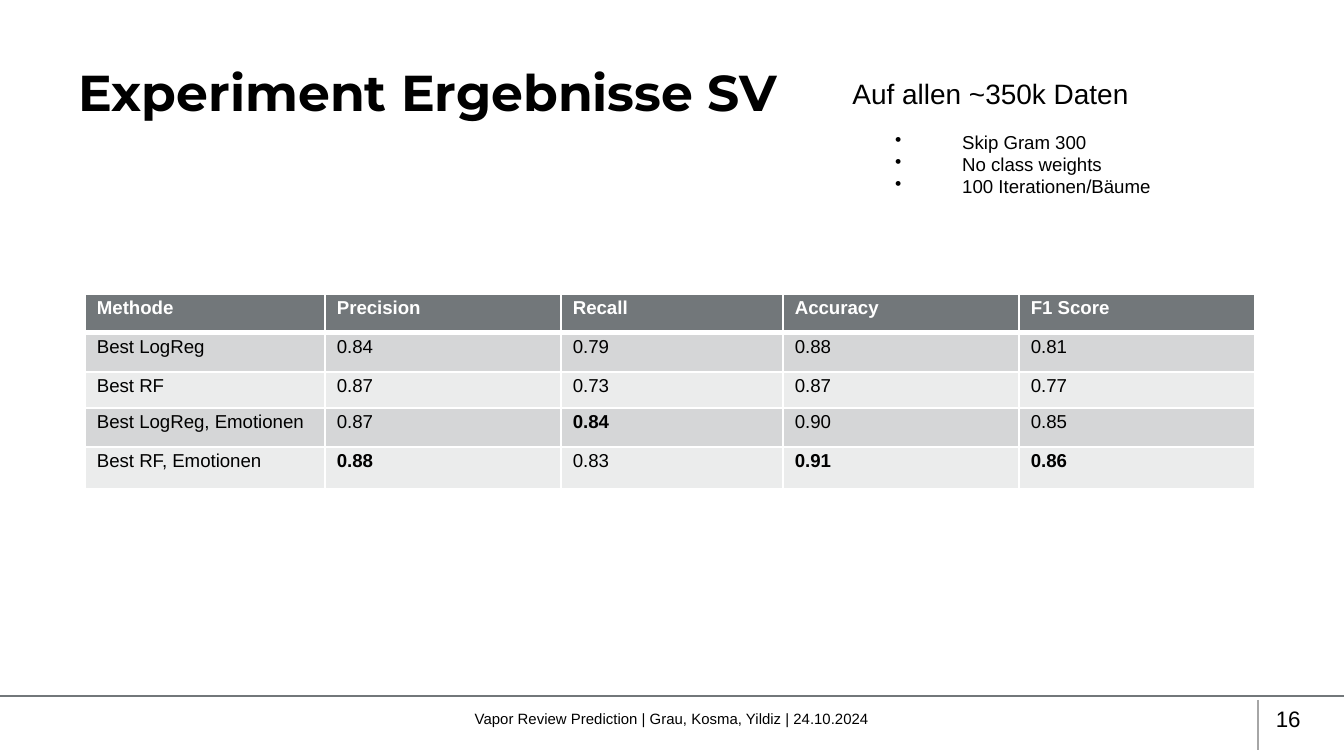
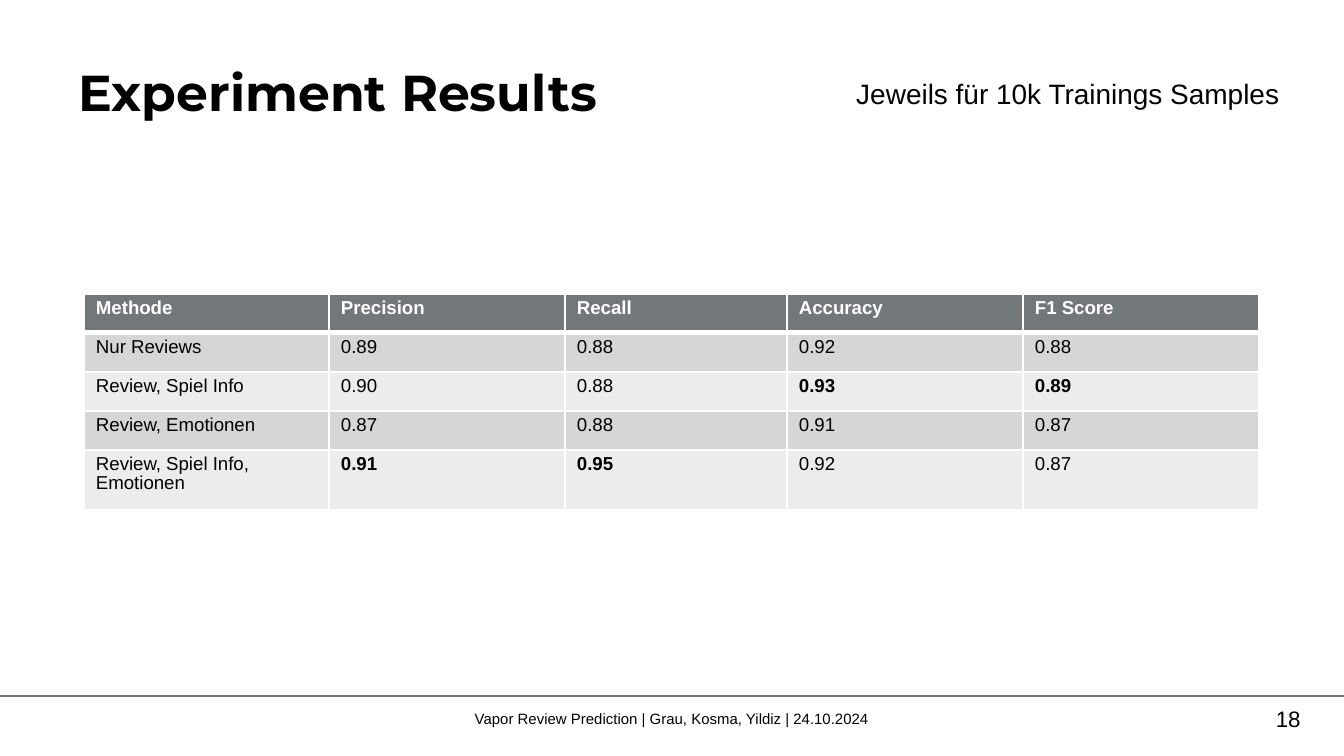
from collections import namedtuple

from lxml.etree import SubElement
from pptx import Presentation
from pptx.dml.color import RGBColor
from pptx.enum.shapes import MSO_CONNECTOR, MSO_SHAPE
from pptx.enum.text import MSO_ANCHOR, MSO_AUTO_SIZE, PP_ALIGN
from pptx.oxml.ns import qn
from pptx.util import Emu, Pt

PX_PER_INCH = 134.4
SLIDE_W, SLIDE_H = 1344, 756

BLACK = RGBColor(0x00, 0x00, 0x00)
WHITE = RGBColor(0xFF, 0xFF, 0xFF)
SLATE = RGBColor(0x72, 0x77, 0x7A)
RULE_GREY = RGBColor(0xA6, 0xA6, 0xA6)
BAND_DARK = RGBColor(0xD5, 0xD6, 0xD7)
BAND_LIGHT = RGBColor(0xEB, 0xEC, 0xEC)

TITLE_FONT, TEXT_FONT = "Montserrat", "Arial"
FOOTER = "Vapor Review Prediction | Grau, Kosma, Yildiz | 24.10.2024"
HEADINGS = ["Methode", "Precision", "Recall", "Accuracy", "F1 Score"]
METRIC_WIDTHS = [236, 222, 236, 236]

Box = namedtuple("Box", "left top width height")
HEADER_BOX = Box(0, 0, SLIDE_W, 187)
FOOTER_BOX = Box(0, 696, SLIDE_W, 60)


def px(length):
    return Emu(round(length * 914400 / PX_PER_INCH))


def place(shape, box):
    shape.left, shape.top, shape.width, shape.height = (px(side) for side in box)


def write(para, text, size, font=TEXT_FONT, color=BLACK, bold=False,
          align=PP_ALIGN.LEFT, spacing=0.9, before=0, after=0):
    para.alignment = align
    para.line_spacing = spacing
    para.space_before, para.space_after = Pt(before), Pt(after)
    span = para.add_run()
    span.text = text
    span.font.size, span.font.name, span.font.bold = Pt(size), font, bold
    span.font.color.rgb = color


def set_bullet(para, symbol=None, indent=0):
    """Give the paragraph a hanging bullet, or none."""
    props = para._p.get_or_add_pPr()
    props.set("marL", str(px(indent)))
    props.set("indent", str(-px(indent)))
    if symbol:
        SubElement(props, qn("a:buChar")).set("char", symbol)
    else:
        SubElement(props, qn("a:buNone"))


def centre_vertically(shape):
    frame = shape.text_frame
    frame.word_wrap = True
    frame.auto_size = MSO_AUTO_SIZE.NONE
    frame.vertical_anchor = MSO_ANCHOR.MIDDLE
    return frame.paragraphs[0]


def add_rule(slide, start, end, color):
    rule = slide.shapes.add_connector(
        MSO_CONNECTOR.STRAIGHT, *(px(value) for value in start + end))
    rule.line.color.rgb = color
    rule.line.width = Pt(1)
    SubElement(rule._element.spPr, qn("a:effectLst"))


def add_header(slide, box, title, subtitle, align, panel):
    title_shape, body = slide.shapes.title, slide.placeholders[1]
    if panel:
        back = slide.shapes.add_shape(
            MSO_SHAPE.RECTANGLE, *(px(side) for side in box))
        back.shadow.inherit = False
        back.fill.solid()
        back.fill.fore_color.rgb = WHITE
        back.line.fill.background()
        title_shape._element.addprevious(back._element)
    place(title_shape, Box(box.left + 65, box.top + 27, 773, 136))
    write(centre_vertically(title_shape), title, 27, TITLE_FONT, bold=True)
    place(body, Box(box.left + 839, box.top + 27, 454, 136))
    para = centre_vertically(body)
    write(para, subtitle, 15, align=align, before=10, after=3.8)
    set_bullet(para)


def add_footer(slide, box, number, divider):
    add_rule(slide, (box.left, box.top), (box.left + box.width, box.top), SLATE)
    if divider:
        x = box.left + box.width - 86
        add_rule(slide, (x, box.top + 4), (x, box.top + 54), RULE_GREY)
    for left, width, text, size, align in (
            (445, 454, FOOTER, 8, PP_ALIGN.CENTER),
            (962, 352, number, 12, PP_ALIGN.RIGHT)):
        label = slide.shapes.add_textbox(0, 0, 0, 0)
        place(label, Box(box.left + left, box.top + 4, width, 40))
        write(centre_vertically(label), text, size, align=align, after=6)


def add_settings(slide, box, settings):
    area = slide.shapes.add_textbox(*(px(side) for side in box))
    frame = area.text_frame
    frame.word_wrap = False
    for index, setting in enumerate(settings):
        para = frame.add_paragraph() if index else frame.paragraphs[0]
        write(para, setting, 10, spacing=Pt(12))
        set_bullet(para, "•", 67)


def set_borders(cell, top, bottom):
    props = cell._tc.get_or_add_tcPr()
    widths = {"a:lnL": 1, "a:lnR": 1, "a:lnT": top, "a:lnB": bottom}
    for index, (side, width) in enumerate(widths.items()):
        line = SubElement(props, qn(side))
        line.set("w", str(Pt(width)))
        fill = SubElement(line, qn("a:solidFill"))
        SubElement(fill, qn("a:srgbClr")).set("val", str(WHITE))
        props.insert(index, line)


def add_results(slide, left, top, method_width, heights, results):
    """Draw the score table; a leading * marks a best score in bold."""
    widths = [method_width] + METRIC_WIDTHS
    rows = [HEADINGS] + results
    box = Box(left, top, sum(widths), sum(heights))
    table = slide.shapes.add_table(
        len(rows), len(widths), *(px(side) for side in box)).table
    for column, width in zip(table.columns, widths):
        column.width = px(width)
    for row_index, (row, height, texts) in enumerate(
            zip(table.rows, heights, rows)):
        row.height = px(height)
        heading = row_index == 0
        band = BAND_DARK if row_index % 2 else BAND_LIGHT
        for cell, text in zip(row.cells, texts):
            cell.margin_left = cell.margin_right = px(12)
            cell.margin_top = cell.margin_bottom = px(6)
            cell.fill.solid()
            cell.fill.fore_color.rgb = SLATE if heading else band
            write(cell.text_frame.paragraphs[0], text.lstrip("*"), 10,
                  color=WHITE if heading else BLACK,
                  bold=heading or text.startswith("*"))
            set_borders(cell, 3 if row_index == 1 else 1, 3 if heading else 1)


def add_slide(deck, title, subtitle, number, align=PP_ALIGN.LEFT,
              panel=False, divider=False):
    slide = deck.slides.add_slide(deck.slide_layouts[1])
    add_header(slide, HEADER_BOX, title, subtitle, align, panel)
    add_footer(slide, FOOTER_BOX, number, divider)
    return slide


def main():
    deck = Presentation()
    deck.slide_width, deck.slide_height = px(SLIDE_W), px(SLIDE_H)

    full_data = add_slide(deck, "Experiment Ergebnisse SV",
                          "Auf allen ~350k Daten", "16", divider=True)
    add_results(full_data, 85, 294, 240, [39, 39, 36, 39, 42], [
        ["Best LogReg", "0.84", "0.79", "0.88", "0.81"],
        ["Best RF", "0.87", "0.73", "0.87", "0.77"],
        ["Best LogReg, Emotionen", "0.87", "*0.84", "0.90", "0.85"],
        ["Best RF, Emotionen", "*0.88", "0.83", "*0.91", "*0.86"],
    ])
    add_settings(full_data, Box(882, 124, 290, 81),
                 ["Skip Gram 300", "No class weights", "100 Iterationen/Bäume"])

    samples = add_slide(deck, "Experiment Results",
                        "Jeweils für 10k Trainings Samples", "18",
                        align=PP_ALIGN.RIGHT, panel=True)
    add_results(samples, 84, 294, 245, [39, 39, 39, 39, 60], [
        ["Nur Reviews", "0.89", "0.88", "0.92", "0.88"],
        ["Review, Spiel Info", "0.90", "0.88", "*0.93", "*0.89"],
        ["Review, Emotionen", "0.87", "0.88", "0.91", "0.87"],
        ["Review, Spiel Info, Emotionen", "*0.91", "*0.95", "0.92", "0.87"],
    ])
    deck.save("out.pptx")


if __name__ == "__main__":
    main()
